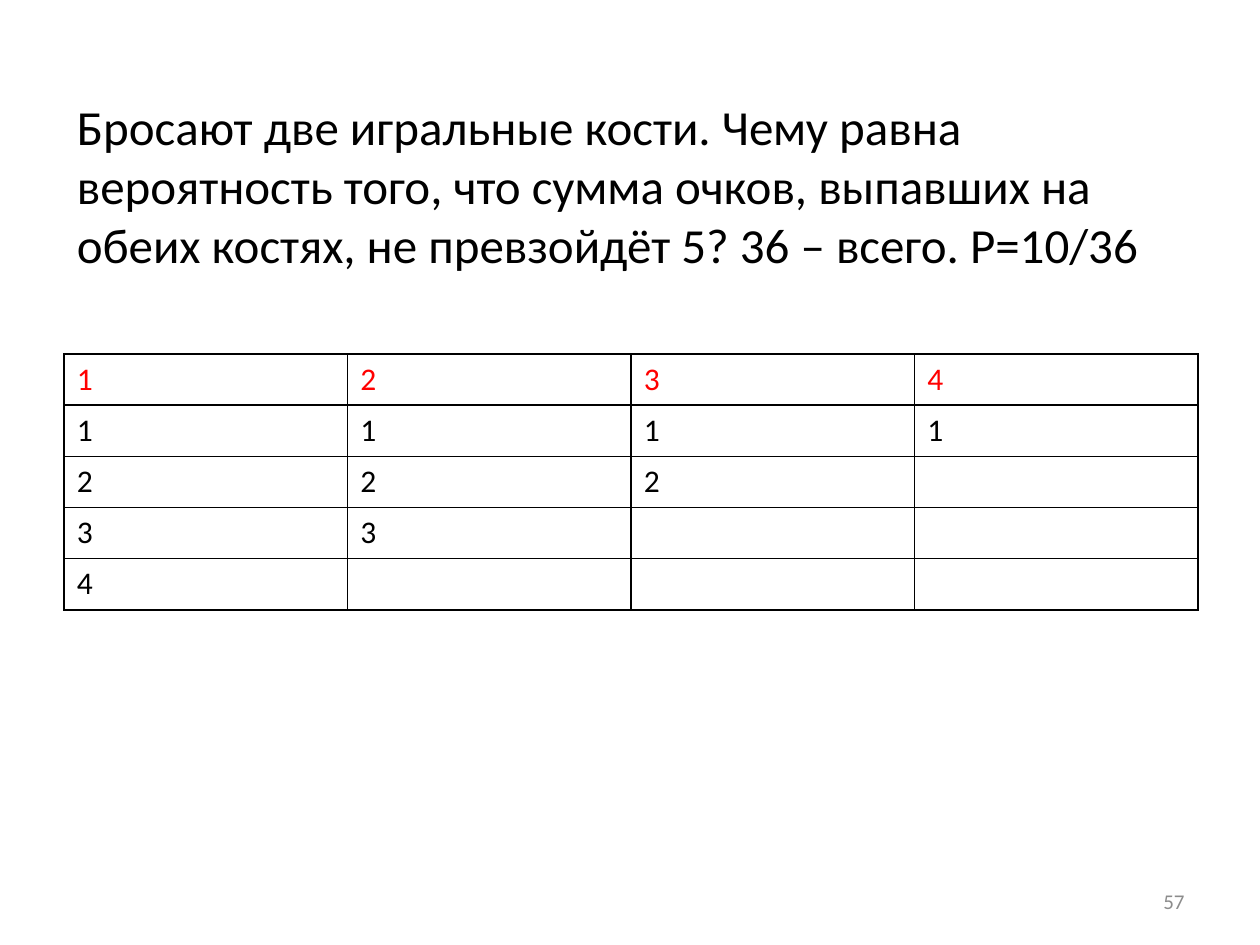
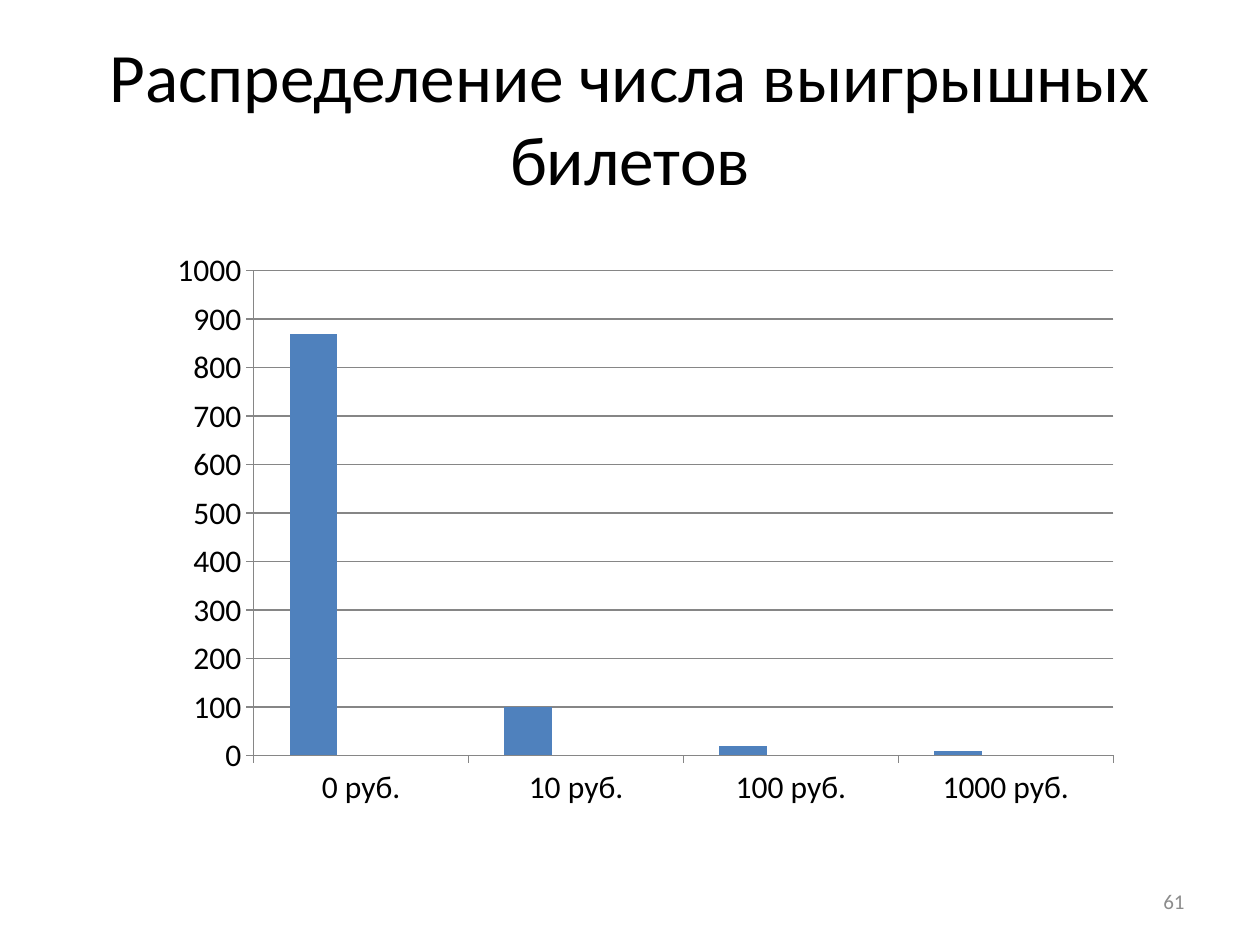
from lxml import etree
from pptx import Presentation
from pptx import util as u
from pptx.chart.data import CategoryChartData
from pptx.dml.color import RGBColor
from pptx.enum import chart as charts, text
from pptx.oxml import parse_xml
from pptx.oxml.ns import nsdecls, qn

COLOURS = {
    "ink": "000000",
    "header": "FF0000",
    "footer": "8C8C8C",
    "axis": "868686",
    "series": ["4F81BD", "C0504D", "9BBB59"],
}
FONT = "Calibri"
WIDTH, HEIGHT = u.Inches(10), u.Inches(7.5)
TITLE_LAYOUT = 5
TITLE_SIZE = (9, 1.25)

DICE_ROWS = [
    ["1", "2", "3", "4"],
    ["1", "1", "1", "1"],
    ["2", "2", "2", ""],
    ["3", "3", "", ""],
    ["4", "", "", ""],
]
PRIZES = ["0 руб.", "10 руб.", "100 руб.", "1000 руб."]
TICKETS = [870, 100, 20, 10]
PLOT_AREA = {"x": 0.143, "y": 0.076, "w": 0.824, "h": 0.797}


def place(left, top, width, height):
    shares = (left / 10, top / 7.5, width / 10, height / 7.5)
    sides = (WIDTH, HEIGHT, WIDTH, HEIGHT)
    return [round(share * side) for share, side in zip(shares, sides)]


def style_font(font, size, colour):
    font.name = FONT
    font.size = u.Pt(size)
    font.bold = False
    font.color.rgb = RGBColor.from_string(colour)


def write_text(frame, words, size=18, colour=COLOURS["ink"], align=text.PP_ALIGN.LEFT):
    para = frame.paragraphs[0]
    para.alignment = align
    span = para.add_run()
    span.text = words
    style_font(span.font, size, colour)


def set_frame(frame):
    frame.word_wrap = True
    frame.auto_size = text.MSO_AUTO_SIZE.NONE
    frame.vertical_anchor = text.MSO_ANCHOR.MIDDLE


def add_page(deck, title, number, left, top, **title_format):
    page = deck.slides.add_slide(deck.slide_layouts[TITLE_LAYOUT])
    box = page.shapes.title
    box.left, box.top, box.width, box.height = place(left, top, *TITLE_SIZE)
    set_frame(box.text_frame)
    write_text(box.text_frame, title, **title_format)

    footer = page.shapes.add_textbox(*place(7.17, 6.95, 2.33, 0.4))
    set_frame(footer.text_frame)
    write_text(footer.text_frame, number, size=12, colour=COLOURS["footer"],
               align=text.PP_ALIGN.RIGHT)
    return page


def outline_cell(cell):
    properties = cell._tc.get_or_add_tcPr()
    for position, side in enumerate(("lnL", "lnR", "lnT", "lnB")):
        properties.insert(position, parse_xml(
            f'<a:{side} {nsdecls("a")} w="12700"><a:solidFill>'
            f'<a:srgbClr val="{COLOURS["ink"]}"/></a:solidFill></a:{side}>'))


def add_grid(page, rows, left, top, width, height):
    frame = page.shapes.add_table(len(rows), len(rows[0]), *place(left, top, width, height))
    table = frame.table
    table.first_row = table.horz_banding = False
    for row_index, row in enumerate(rows):
        colour = COLOURS["ink"] if row_index else COLOURS["header"]
        for column_index, words in enumerate(row):
            cell = table.cell(row_index, column_index)
            cell.fill.background()
            outline_cell(cell)
            if words:
                write_text(cell.text_frame, words, colour=colour)


def style_axis(axis):
    axis.major_tick_mark = charts.XL_TICK_MARK.OUTSIDE
    axis.minor_tick_mark = charts.XL_TICK_MARK.NONE
    style_font(axis.tick_labels.font, 18, COLOURS["ink"])
    style_line(axis.format.line)


def style_line(line):
    line.color.rgb = RGBColor.from_string(COLOURS["axis"])
    line.width = u.Pt(0.75)


def set_plot_area(chart):
    area = chart._chartSpace.chart.plotArea
    for old in area.findall(qn("c:layout")):
        area.remove(old)
    layout = etree.Element(qn("c:layout"))
    manual = etree.SubElement(layout, qn("c:manualLayout"))
    settings = {"layoutTarget": "inner", "xMode": "edge", "yMode": "edge", **PLOT_AREA}
    for name, value in settings.items():
        etree.SubElement(manual, qn(f"c:{name}")).set("val", str(value))
    area.insert(0, layout)


def add_columns(page, left, top, width, height):
    data = CategoryChartData()
    data.categories = PRIZES
    empty = [None] * len(PRIZES)
    for index, values in enumerate((TICKETS, empty, empty), start=1):
        data.add_series(f"Series {index}", values)
    chart = page.shapes.add_chart(charts.XL_CHART_TYPE.COLUMN_CLUSTERED,
                                  *place(left, top, width, height), data).chart
    chart.has_legend = chart.has_title = False
    style_font(chart.font, 18, COLOURS["ink"])
    plot = chart.plots[0]
    plot.gap_width, plot.overlap, plot.vary_by_categories = 150, 0, False
    for series, colour in zip(plot.series, COLOURS["series"]):
        series.format.fill.solid()
        series.format.fill.fore_color.rgb = RGBColor.from_string(colour)

    style_axis(chart.category_axis)
    counts = chart.value_axis
    style_axis(counts)
    counts.minimum_scale, counts.maximum_scale, counts.major_unit = 0, 1000, 100
    counts.has_major_gridlines = True
    style_line(counts.major_gridlines.format.line)
    set_plot_area(chart)


def main():
    deck = Presentation()
    deck.slide_width, deck.slide_height = WIDTH, HEIGHT

    dice = add_page(
        deck,
        "Бросают две игральные кости. Чему равна вероятность того, что сумма очков, "
        "выпавших на обеих костях, не превзойдёт 5? 36 – всего. P=10/36",
        "57", 0.51, 0.84, size=28)
    add_grid(dice, DICE_ROWS, 0.51, 2.81, 9, 2.03)

    lottery = add_page(deck, "Распределение числа выигрышных билетов", "61", 0.5, 0.3,
                       size=39.6, align=text.PP_ALIGN.CENTER)
    add_columns(lottery, 0.83, 1.78, 8.28, 4.83)

    deck.save("out.pptx")


if __name__ == "__main__":
    main()
